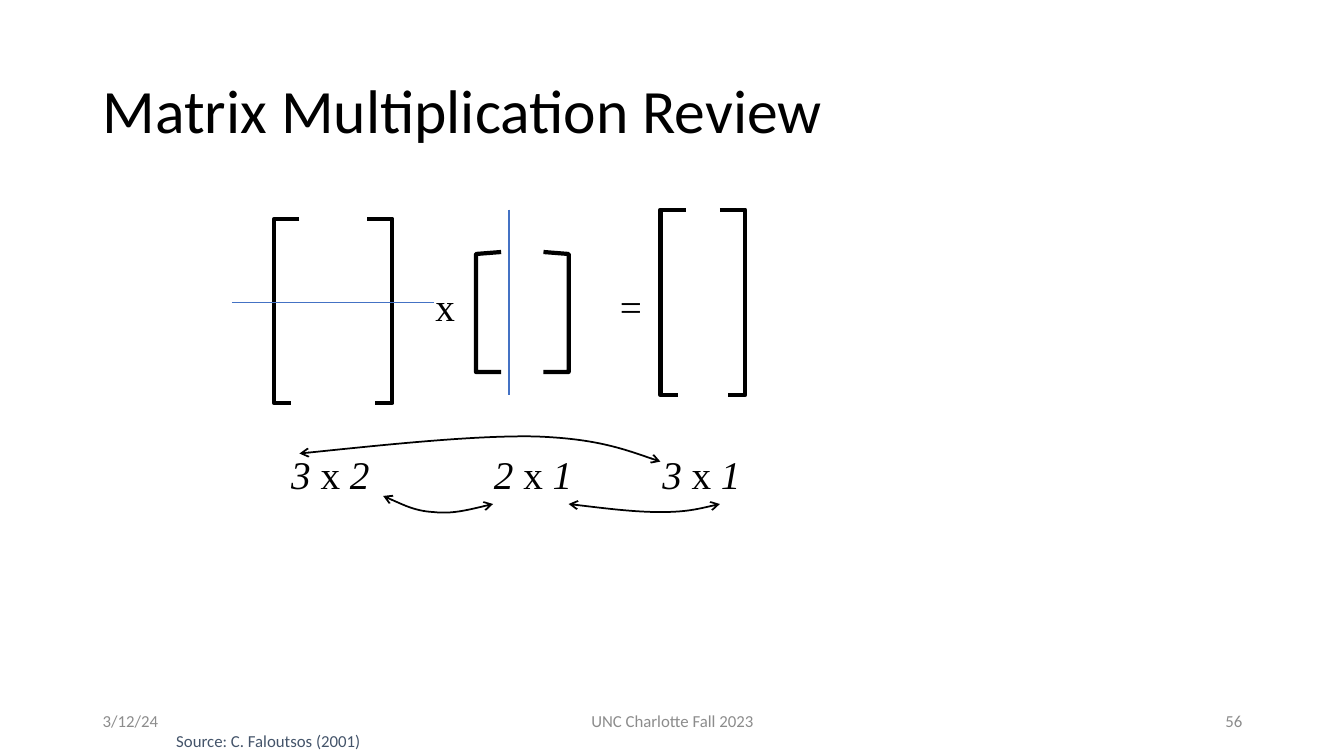
from lxml.etree import SubElement
from pptx import Presentation
from pptx.dml.color import RGBColor
from pptx.enum.shapes import MSO_CONNECTOR as Connector
from pptx.enum.text import MSO_ANCHOR as Anchor, PP_ALIGN as Align
from pptx.oxml.ns import qn
from pptx.util import Inches, Pt

BLACK = RGBColor(0x00, 0x00, 0x00)
GRAY = RGBColor(0x8C, 0x8C, 0x8C)
BLUE = RGBColor(0x44, 0x72, 0xC4)
SLATE = RGBColor(0x44, 0x54, 0x6A)
SANS = "Calibri"
SERIF = "Times New Roman"


def add_text(slide, box, runs, size, color=BLACK, font=SANS,
             align=Align.LEFT, anchor=Anchor.MIDDLE, wrap=True, spacing=1.0):
    frame = slide.shapes.add_textbox(*map(Inches, box)).text_frame
    frame.word_wrap = wrap
    frame.vertical_anchor = anchor
    paragraph = frame.paragraphs[0]
    paragraph.alignment = align
    paragraph.line_spacing = spacing
    for words, italic in runs:
        run = paragraph.add_run()
        run.text = words
        run.font.name = font
        run.font.size = Pt(size)
        run.font.italic = italic
        run.font.color.rgb = color


def add_outline(slide, left, top, points, weight):
    start, *rest = [(Inches(left + x), Inches(top + y)) for x, y in points]
    builder = slide.shapes.build_freeform(*start)
    builder.add_line_segments(rest, close=False)
    outline = builder.convert_to_shape()
    outline.shadow.inherit = False
    outline.fill.background()
    outline.line.color.rgb = BLACK
    outline.line.width = Pt(weight)
    return outline


def add_brackets(slide, left, top, width, height, foot, slant=0):
    lip = 0.25
    half = [(lip, 0), (0, slant), (0, height), (foot, height)]
    add_outline(slide, left, top, half, 3)
    add_outline(slide, left, top, [(width - x, y) for x, y in half], 3)


def add_curved_arrow(slide, left, top, points):
    arrow = add_outline(slide, left, top, points, 1.25)
    segments = list(arrow.element.iter(qn("a:lnTo")))
    for first in range(0, len(segments), 3):
        curve = segments[first]
        curve.tag = qn("a:cubicBezTo")
        for segment in segments[first + 1:first + 3]:
            curve.append(segment[0])
            segment.getparent().remove(segment)
    line = arrow.line._get_or_add_ln()
    for end in ("a:headEnd", "a:tailEnd"):
        SubElement(line, qn(end), type="arrow")


def add_highlight(slide, *ends):
    highlight = slide.shapes.add_connector(Connector.STRAIGHT, *map(Inches, ends))
    highlight.line.color.rgb = BLUE
    highlight.line.width = Pt(1.25)
    SubElement(highlight.element.spPr, qn("a:effectLst"))


def add_multiplication(slide, left, top):
    for x, y, width, height, foot, slant in (
            (0.42, 0.09, 1.17, 1.83, 0.17, 0),
            (2.42, 0.42, 0.92, 1.19, 0.25, 0.02),
            (4.25, 0, 0.84, 1.84, 0.17, 0)):
        add_brackets(slide, left + x, top + y, width, height, foot, slant)

    for x, width, symbol in ((1.92, 0.4, "x"), (3.75, 0.42, "=")):
        add_text(slide, (left + x, top + 0.67, width, 0.57), [(symbol, False)],
                 28, font=SERIF, wrap=False)

    for x, rows, columns in ((0.49, 3, 2), (2.5, 2, 1), (4.17, 3, 1)):
        add_text(slide, (left + x, top + 2.34, 0.98, 0.57),
                 [(f"{rows} ", True), ("x", False), (f" {columns}", True)],
                 28, font=SERIF, wrap=False)

    inner_match = [(1.5, 2.84), (1.66, 2.91), (1.82, 2.99), (2, 3),
                   (2.18, 3.02), (2.38, 2.97), (2.59, 2.92)]
    row_match = [(0.67, 2.42), (1.54, 2.33), (2.41, 2.24), (3, 2.25),
                 (3.6, 2.27), (3.93, 2.39), (4.25, 2.5)]
    column_match = [(3.34, 2.92), (3.67, 2.96), (4, 3), (4.25, 3),
                    (4.5, 3), (4.67, 2.96), (4.84, 2.92)]
    for match in (inner_match, row_match, column_match):
        add_curved_arrow(slide, left, top, match)

    add_highlight(slide, left, top + 0.92, left + 2, top + 0.92)
    add_highlight(slide, left + 2.75, top, left + 2.75, top + 1.84)


def add_footer(slide, left, top):
    for x, width, words, align in (
            (0, 3, "3/12/24", Align.LEFT),
            (3.5, 4.5, "UNC Charlotte Fall 2023", Align.CENTER),
            (8.5, 3, "56", Align.RIGHT)):
        add_text(slide, (left + x, top, width, 0.4), [(words, False)], 12,
                 GRAY, align=align)
    add_text(slide, (left + 0.73, top + 0.25, 2.17, 0.3),
             [("Source: C. Faloutsos (2001)", False)], 12, SLATE, anchor=Anchor.TOP)


def main():
    deck = Presentation()
    deck.slide_width = Inches(13.33)
    deck.slide_height = Inches(7.5)
    slide = deck.slides.add_slide(deck.slide_layouts[6])
    add_text(slide, (0.92, 0.4, 11.5, 1.45),
             [("Matrix Multiplication Review", False)], 44, spacing=0.9)
    add_multiplication(slide, 2.3, 2.08)
    add_footer(slide, 0.92, 6.95)
    deck.save("out.pptx")


if __name__ == "__main__":
    main()
